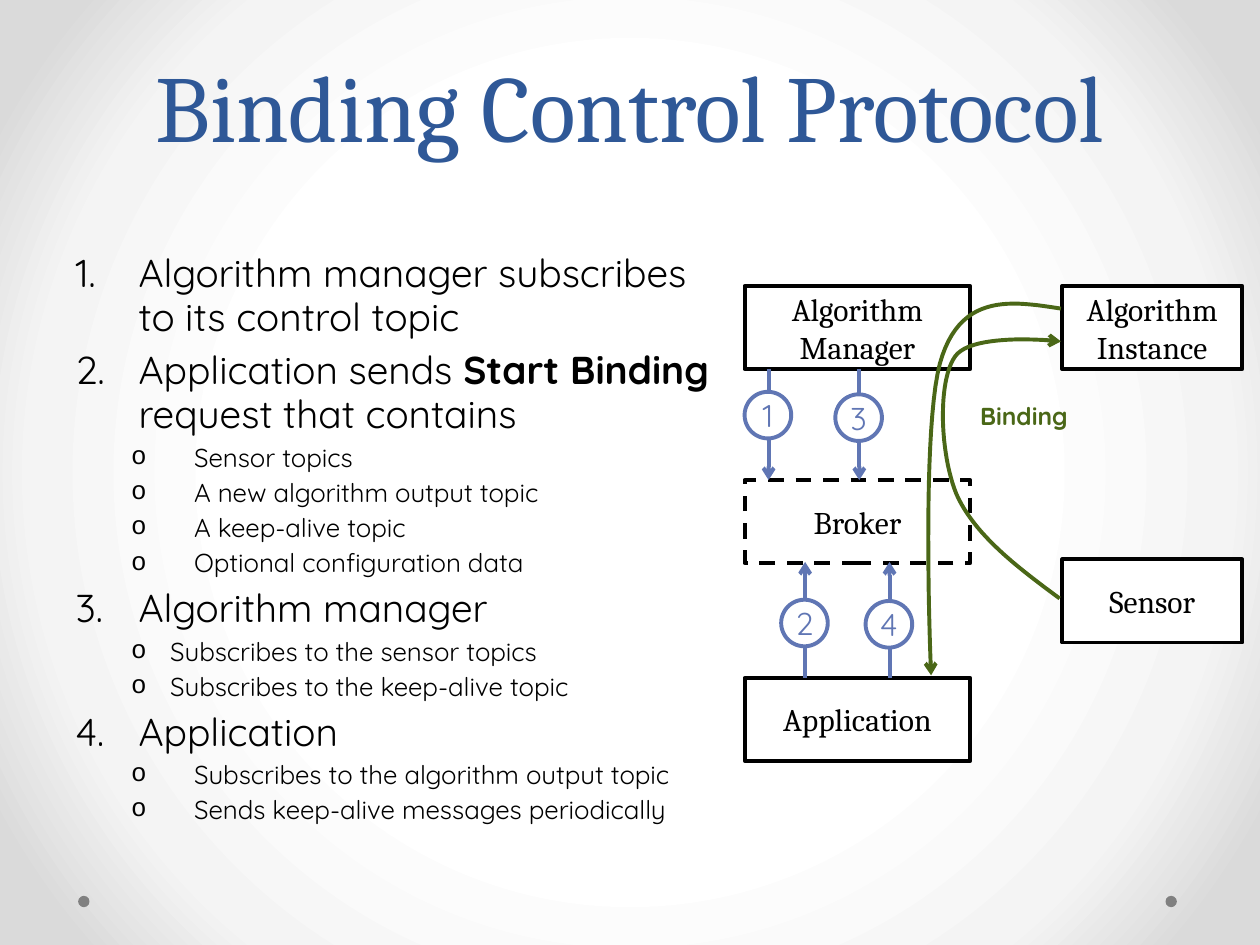
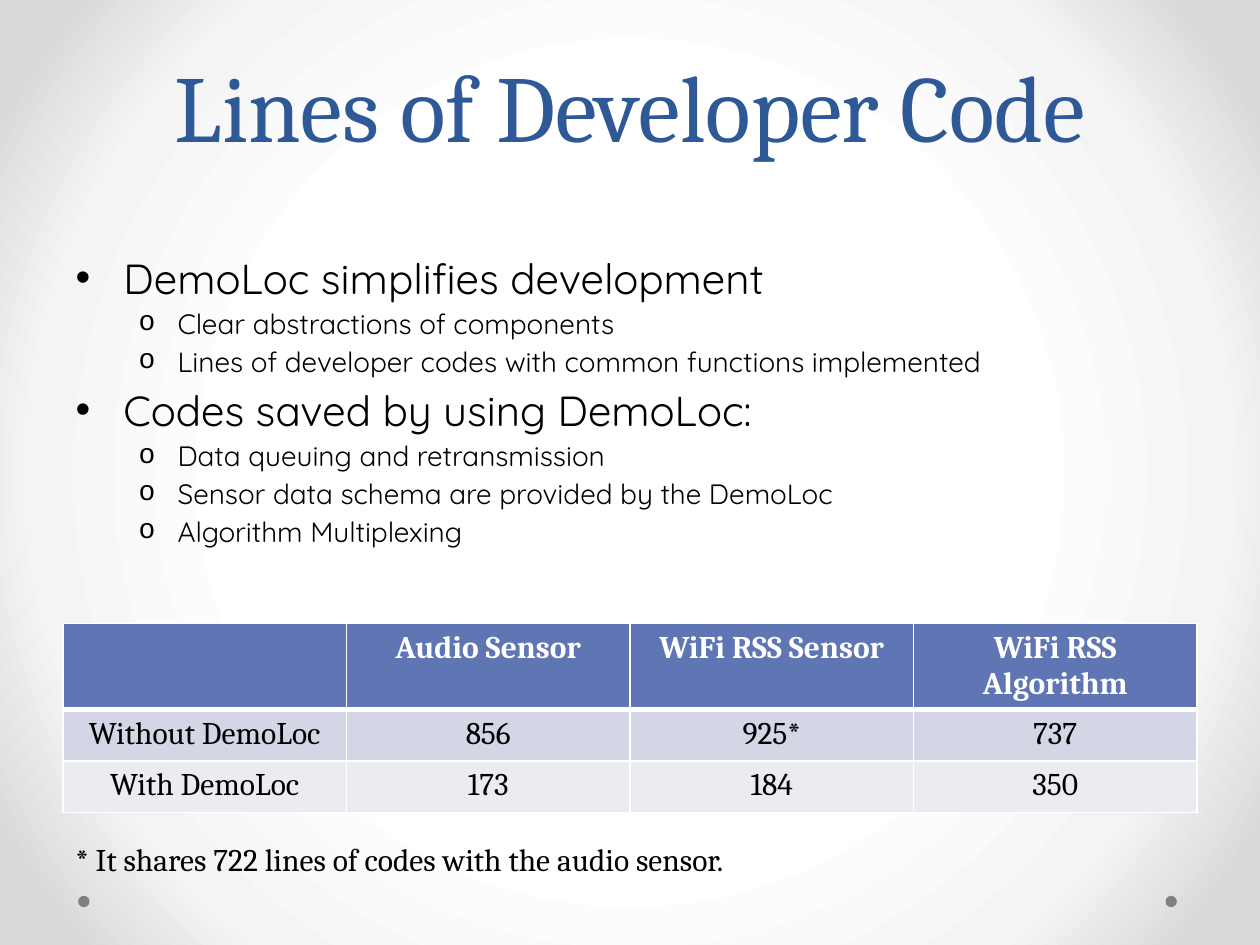
import dataclasses
import typing

import lxml.etree
import pptx
import pptx.dml.color
import pptx.enum.dml
import pptx.enum.shapes
import pptx.enum.text
import pptx.oxml
import pptx.oxml.ns
import pptx.util

Inches = pptx.util.Inches
Pt = pptx.util.Pt
qn = pptx.oxml.ns.qn
Shape = pptx.enum.shapes.MSO_SHAPE
Align = pptx.enum.text.PP_ALIGN
Fit = pptx.enum.text.MSO_AUTO_SIZE

SERIF, SANS = "Cambria", "Quicksand"
BLACK, WHITE, GRAY = "000000", "FFFFFF", "808080"
NAVY, BLUE, GREEN = "2F5897", "6076B4", "4A6717"
BANDS = [BLUE, "D2D6E5", "EAECF2"]
STOPS = [(50, WHITE), (76, "F4F4F4"), (92, "DADADA")]
WEIGHT = 2.25
BULLETS = {"•": "Arial", "o": "Courier New"}
Point = tuple[float, float]


@dataclasses.dataclass
class Item:
    text: str
    size: float
    left: float
    hang: float
    mark: str


@dataclasses.dataclass
class Box:
    text: str
    x: float
    y: float
    wide: float
    dash: bool = False


@dataclasses.dataclass
class Step:
    text: str
    x: float
    start: float
    end: float
    top: float


@dataclasses.dataclass
class Curve:
    start: Point
    bends: list[tuple[Point, Point, Point]]


def color(code: str) -> pptx.dml.color.RGBColor:
    return pptx.dml.color.RGBColor.from_string(code)


def style(para: typing.Any, face: str, size: float, code: str,
          bold: bool = False) -> None:
    para.font.name = face
    para.font.size = Pt(size)
    para.font.bold = bold
    para.font.color.rgb = color(code)


def paint(deck: typing.Any) -> None:
    back = deck.slide_master.background.fill
    back.solid()
    old = next(deck.slide_master.element.iter(qn("p:bgPr")))[0]
    stops = "".join(
        f'<a:gs pos="{pos * 1000}"><a:srgbClr val="{code}"/></a:gs>'
        for pos, code in STOPS)
    space = pptx.oxml.ns.nsdecls("a")
    fill = pptx.oxml.parse_xml(
        f'<a:gradFill {space} rotWithShape="1"><a:gsLst>{stops}</a:gsLst>'
        '<a:path path="circle"><a:fillToRect l="50000" t="50000" '
        'r="50000" b="50000"/></a:path></a:gradFill>')
    old.getparent().replace(old, fill)


def place(shape: typing.Any, x: float, y: float, wide: float,
          high: float) -> None:
    shape.left, shape.top = Inches(x), Inches(y)
    shape.width, shape.height = Inches(wide), Inches(high)


def solid(slide: typing.Any, kind: typing.Any, x: float, y: float,
          wide: float, high: float, fill: str,
          line: str | None = None) -> typing.Any:
    shape = slide.shapes.add_shape(
        kind, Inches(x), Inches(y), Inches(wide), Inches(high))
    shape.shadow.inherit = False
    shape.fill.solid()
    shape.fill.fore_color.rgb = color(fill)
    if line:
        stroke(shape, line)
    else:
        shape.line.fill.background()
    return shape


def stroke(shape: typing.Any, code: str, head: bool = False) -> None:
    shape.line.color.rgb = color(code)
    shape.line.width = Pt(WEIGHT)
    if head:
        line = shape.element.spPr.find(qn("a:ln"))
        lxml.etree.SubElement(line, qn("a:tailEnd"), type="arrow")


def label(shape: typing.Any, text: str, face: str, code: str) -> None:
    frame = shape.text_frame
    frame.text = text
    frame.vertical_anchor = pptx.enum.text.MSO_ANCHOR.MIDDLE
    frame.paragraphs[0].alignment = Align.CENTER
    style(frame.paragraphs[0], face, 18, code)


def base(deck: typing.Any, title: str) -> typing.Any:
    slide = deck.slides.add_slide(deck.slide_layouts[1])
    for x in (9.25, 0.62):
        solid(slide, Shape.OVAL, x, 7.11, 0.09, 0.09, GRAY)
    head = slide.shapes.title
    place(head, 0.5, 0, 9, 1.75)
    frame = head.text_frame
    frame.text = title
    frame.auto_size = Fit.NONE
    frame.vertical_anchor = pptx.enum.text.MSO_ANCHOR.MIDDLE
    para = frame.paragraphs[0]
    para.alignment = Align.CENTER
    para.line_spacing = Pt(58)
    style(para, SERIF, 54, NAVY)
    return slide


def fill_list(slide: typing.Any, wide: float, high: float,
              items: list[Item], pitch: float, gap: float) -> None:
    body = slide.placeholders[1]
    place(body, 0.5, 1.95, wide, high)
    frame = body.text_frame
    frame.auto_size = Fit.NONE
    for i, item in enumerate(items):
        para = frame.add_paragraph() if i else frame.paragraphs[0]
        para.level = int(item.mark == "o")
        para.line_spacing = pitch
        para.space_before = Pt(round(item.size * gap, 1))
        props = para._p.get_or_add_pPr()
        props.set("marL", str(Inches(item.left)))
        props.set("indent", str(-Inches(item.hang)))
        if item.mark in BULLETS:
            lxml.etree.SubElement(
                props, qn("a:buFont"), typeface=BULLETS[item.mark])
            lxml.etree.SubElement(props, qn("a:buChar"), char=item.mark)
        else:
            lxml.etree.SubElement(
                props, qn("a:buAutoNum"), type="arabicPeriod")
        style(para, SANS, item.size, BLACK)
        for j, piece in enumerate(item.text.split("**")):
            run = para.add_run()
            run.text = piece
            if j % 2:
                run.font.bold = True


def note(slide: typing.Any, text: str, x: float, y: float, wide: float,
         high: float, face: str, size: float, code: str,
         bold: bool = False) -> None:
    box = slide.shapes.add_textbox(
        Inches(x), Inches(y), Inches(wide), Inches(high))
    box.text_frame.word_wrap = False
    box.text_frame.auto_size = Fit.SHAPE_TO_FIT_TEXT
    box.text_frame.text = text
    style(box.text_frame.paragraphs[0], face, size, code, bold)


def draw_box(slide: typing.Any, box: Box) -> None:
    shape = solid(slide, Shape.RECTANGLE, box.x, box.y, box.wide, 0.66,
                  WHITE, BLACK)
    if box.dash:
        shape.line.dash_style = pptx.enum.dml.MSO_LINE.DASH
    label(shape, box.text, SERIF, BLACK)


def draw_step(slide: typing.Any, step: Step) -> None:
    line = slide.shapes.add_connector(
        pptx.enum.shapes.MSO_CONNECTOR.STRAIGHT, Inches(step.x),
        Inches(step.start), Inches(step.x), Inches(step.end))
    stroke(line, BLUE, True)
    lxml.etree.SubElement(line.element.spPr, qn("a:effectLst"))
    disc = solid(slide, Shape.OVAL, step.x - 0.19, step.top, 0.37, 0.37,
                 WHITE, BLUE)
    frame = disc.text_frame
    frame.margin_left = frame.margin_right = 0
    frame.margin_top = frame.margin_bottom = 0
    label(disc, step.text, SANS, BLUE)


def bend(a: Point, b: Point, c: Point, d: Point, t: float) -> Point:
    s = 1 - t
    x, y = (s**3 * p + 3 * s * s * t * q + 3 * s * t * t * r + t**3 * u
            for p, q, r, u in zip(a, b, c, d))
    return Inches(x), Inches(y)


def draw_curve(slide: typing.Any, curve: Curve) -> None:
    points, last, count = [], curve.start, 24
    for b, c, d in curve.bends:
        points += [bend(last, b, c, d, n / count)
                   for n in range(1, count + 1)]
        last = d
    x, y = curve.start
    build = slide.shapes.build_freeform(Inches(x), Inches(y))
    build.add_line_segments(points, close=False)
    shape = build.convert_to_shape()
    shape.shadow.inherit = False
    shape.fill.background()
    stroke(shape, GREEN, True)


def edge(cell: typing.Any, row: int) -> None:
    props = cell._tc.get_or_add_tcPr()
    space = pptx.oxml.ns.nsdecls("a")
    for i, side in enumerate("LRTB"):
        thick = (row, side) in ((0, "B"), (1, "T"))
        props.insert(i, pptx.oxml.parse_xml(
            f'<a:ln{side} {space} w="{Pt(3 if thick else 1)}"><a:solidFill>'
            f'<a:srgbClr val="{WHITE}"/></a:solidFill></a:ln{side}>'))


def add_grid(slide: typing.Any, rows: list[list[str]]) -> None:
    grid = slide.shapes.add_table(
        len(rows), len(rows[0]), Inches(0.5), Inches(4.95), Inches(9),
        Inches(1.5)).table
    for r, row in enumerate(rows):
        grid.rows[r].height = Inches(0.41 if r else 0.68)
        for c, text in enumerate(row):
            cell = grid.cell(r, c)
            cell.text = text
            cell.fill.solid()
            cell.fill.fore_color.rgb = color(BANDS[r])
            edge(cell, r)
            para = cell.text_frame.paragraphs[0]
            para.alignment = Align.CENTER
            style(para, SERIF, 18, BLACK if r else WHITE, not r)


def bind(deck: typing.Any) -> None:
    slide = base(deck, "Binding Control Protocol")
    tree = [
        ("Algorithm manager subscribes to its control topic", 0, 0, []),
        ("Application sends **Start Binding** request that contains",
         0.94, 0.5, ["Sensor topics", "A new algorithm output topic",
                     "A keep-alive topic", "Optional configuration data"]),
        ("Algorithm manager", 0.75, 0.31,
         ["Subscribes to the sensor topics",
          "Subscribes to the keep-alive topic"]),
        ("Application", 0.94, 0.5,
         ["Subscribes to the algorithm output topic",
          "Sends keep-alive messages periodically"])]
    items = []
    for head, left, hang, subs in tree:
        items.append(Item(head, 22.2, 0.5, 0.5, "1."))
        items += [Item(sub, 14.8, left, hang, "o") for sub in subs]
    fill_list(slide, 5.26, 4.75, items, 0.95, 0.22)
    for box in (Box("Application", 5.91, 5.38, 1.79),
                Box("Algorithm Manager", 5.91, 2.27, 1.79),
                Box("Algorithm Instance", 8.43, 2.27, 1.43),
                Box("Broker", 5.91, 3.81, 1.79, True),
                Box("Sensor", 8.43, 4.44, 1.43)):
        draw_box(slide, box)
    for step in (Step("3", 6.82, 2.93, 3.81, 3.13),
                 Step("1", 6.1, 2.93, 3.81, 3.11),
                 Step("2", 6.39, 5.38, 4.46, 4.76),
                 Step("4", 7.06, 5.38, 4.46, 4.77)):
        draw_step(slide, step)
    draw_curve(slide, Curve((8.41, 4.75), [
        ((8.07, 4.5), (7.73, 4.24), (7.59, 3.92)),
        ((7.46, 3.6), (7.44, 3.03), (7.58, 2.83)),
        ((7.72, 2.63), (8.42, 2.71), (8.42, 2.71))]))
    draw_curve(slide, Curve((8.42, 2.45), [
        ((8.04, 2.39), (7.65, 2.33), (7.48, 2.82)),
        ((7.3, 3.3), (7.39, 5.36), (7.39, 5.36))]))
    note(slide, "Binding", 7.68, 3.13, 0.9, 0.34, SANS, 14, GREEN, True)


def lines(deck: typing.Any) -> None:
    slide = base(deck, "Lines of Developer Code")
    tree = {
        "DemoLoc simplifies development": [
            "Clear abstractions of components",
            "Lines of developer codes with common functions implemented"],
        "Codes saved by using DemoLoc:": [
            "Data queuing and retransmission",
            "Sensor data schema are provided by the DemoLoc",
            "Algorithm Multiplexing"]}
    items = []
    for head, subs in tree.items():
        items.append(Item(head, 24, 0.38, 0.38, "•"))
        items += [Item(sub, 16, 0.81, 0.31, "o") for sub in subs]
    fill_list(slide, 9, 2.64, items, 1.0, 0.15)
    add_grid(slide, [
        ["", "Audio Sensor", "WiFi RSS Sensor", "WiFi RSS Algorithm"],
        ["Without DemoLoc", "856", "925*", "737"],
        ["With DemoLoc", "173", "184", "350"]])
    note(slide, "* It shares 722 lines of codes with the audio sensor.",
         0.5, 6.62, 5.84, 0.4, SERIF, 18, BLACK)


deck = pptx.Presentation()
deck.slide_width, deck.slide_height = Inches(10), Inches(7.5)
paint(deck)
bind(deck)
lines(deck)
deck.save("out.pptx")
